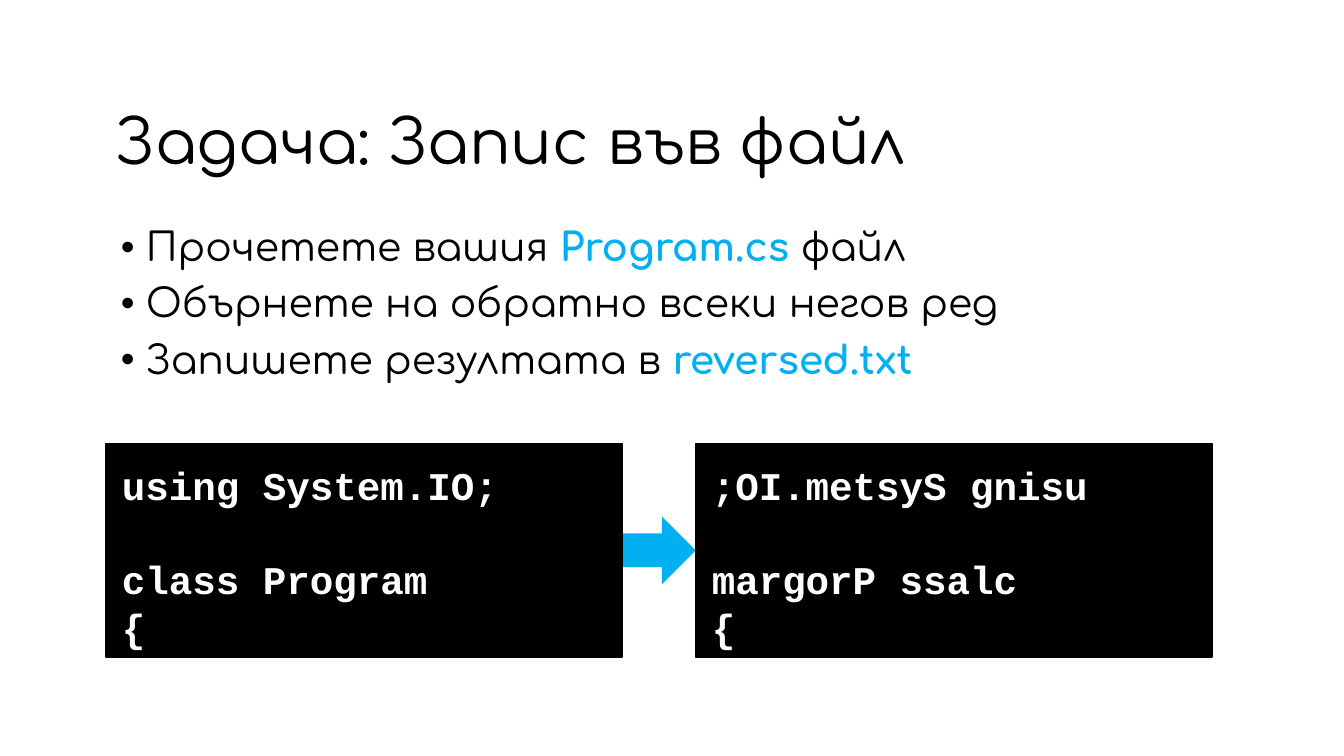
"""Build a slide about writing reversed lines to a file."""
from lxml.etree import SubElement
from pptx import Presentation
from pptx.dml.color import RGBColor
from pptx.enum.shapes import MSO_SHAPE
from pptx.enum.text import MSO_ANCHOR, PP_ALIGN
from pptx.oxml.ns import qn
from pptx.util import Inches, Pt

TITLE = "Задача: Запис във файл"
STEPS = [
    [("Прочетете вашия ", False), ("Program.cs ", True), ("файл", False)],
    [("Обърнете на обратно всеки негов ред", False)],
    [("Запишете резултата в ", False), ("reversed.txt", True)],
]
CODES = [
    ["using System.IO;", "", "class Program", "{"],
    [";OI.metsyS gnisu", "", "margorP ssalc", "{"],
]

THEME = {
    "ink": RGBColor(0, 0, 0),
    "paper": RGBColor(255, 255, 255),
    "accent": RGBColor(0, 176, 240),
    "font": "Comfortaa",
    "mono": "Courier New",
    "head": 44,
    "text": 28,
    "pitch": 33.8,
}
WIDTH, HEIGHT = 13.33, 7.5
LEFT, TOP = 1.05, 4.4
PANEL, TALL = 5.12, 2.12
GAP, ARROW = 0.73, 0.67


def write(para, text, size=THEME["text"], font=THEME["font"],
          color=THEME["ink"], bold=False):
    """Add one formatted run to a paragraph."""
    run = para.add_run()
    run.text = text
    run.font.size, run.font.name, run.font.bold = Pt(size), font, bold
    run.font.color.rgb = color


def next_para(frame, index):
    """Return the first paragraph, or a new one after it."""
    return frame.add_paragraph() if index else frame.paragraphs[0]


def add_block(slide, kind, box, color):
    """Add a flat filled shape."""
    block = slide.shapes.add_shape(kind, *map(Inches, box))
    block.shadow.inherit = False
    block.fill.solid()
    block.fill.fore_color.rgb = color
    block.line.fill.background()
    return block


def add_title(slide):
    """Place and format the title."""
    title = slide.shapes.title
    title.left, title.top = Inches(LEFT), Inches(0.71)
    title.width, title.height = Inches(11.5), Inches(1.45)
    title.text_frame.vertical_anchor = MSO_ANCHOR.MIDDLE
    para = title.text_frame.paragraphs[0]
    para.alignment, para.line_spacing = PP_ALIGN.LEFT, 0.9
    write(para, TITLE, size=THEME["head"])


def add_steps(slide):
    """Add the bulleted steps."""
    box = slide.shapes.add_textbox(*map(Inches, (1.1, 2.21, 10.14, 1.9)))
    frame = box.text_frame
    frame.word_wrap = True
    for index, step in enumerate(STEPS):
        para = next_para(frame, index)
        para.line_spacing = 0.9
        para.space_before = Pt(10 if index else 0)
        props = para._p.get_or_add_pPr()
        props.set("marL", str(Inches(0.25)))
        props.set("indent", str(-Inches(0.25)))
        SubElement(props, qn("a:buFont")).set("typeface", "Arial")
        SubElement(props, qn("a:buChar")).set("char", "•")
        for text, strong in step:
            color = THEME["accent" if strong else "ink"]
            write(para, text, color=color, bold=strong)


def add_code(slide, left, lines):
    """Add a dark panel of code, turning empty lines into spacing."""
    panel = add_block(slide, MSO_SHAPE.RECTANGLE,
                      (left, TOP, PANEL, TALL), THEME["ink"])
    panel.line.color.rgb = THEME["ink"]
    panel.line.width = Pt(1)
    frame = panel.text_frame
    frame.word_wrap = True
    frame.vertical_anchor = MSO_ANCHOR.TOP
    frame.margin_left = frame.margin_right = Inches(0.16)
    frame.margin_top, frame.margin_bottom = Inches(0.17), Inches(0.06)
    space = 0
    for index, line in enumerate(lines):
        if not line:
            space += THEME["pitch"]
            continue
        para = next_para(frame, index)
        para.alignment = PP_ALIGN.LEFT
        para.line_spacing = Pt(THEME["pitch"])
        para.space_before = Pt(space)
        write(para, line, font=THEME["mono"], color=THEME["paper"], bold=True)
        space = 0


def main():
    """Build and save the slide."""
    deck = Presentation()
    deck.slide_width, deck.slide_height = Inches(WIDTH), Inches(HEIGHT)
    slide = deck.slides.add_slide(deck.slide_layouts[5])
    add_title(slide)
    add_steps(slide)
    middle = TOP + (TALL - ARROW) / 2
    add_block(slide, MSO_SHAPE.RIGHT_ARROW,
              (LEFT + PANEL, middle, GAP, ARROW), THEME["accent"])
    for column, lines in enumerate(CODES):
        add_code(slide, LEFT + column * (PANEL + GAP), lines)
    deck.save("out.pptx")


if __name__ == "__main__":
    main()
